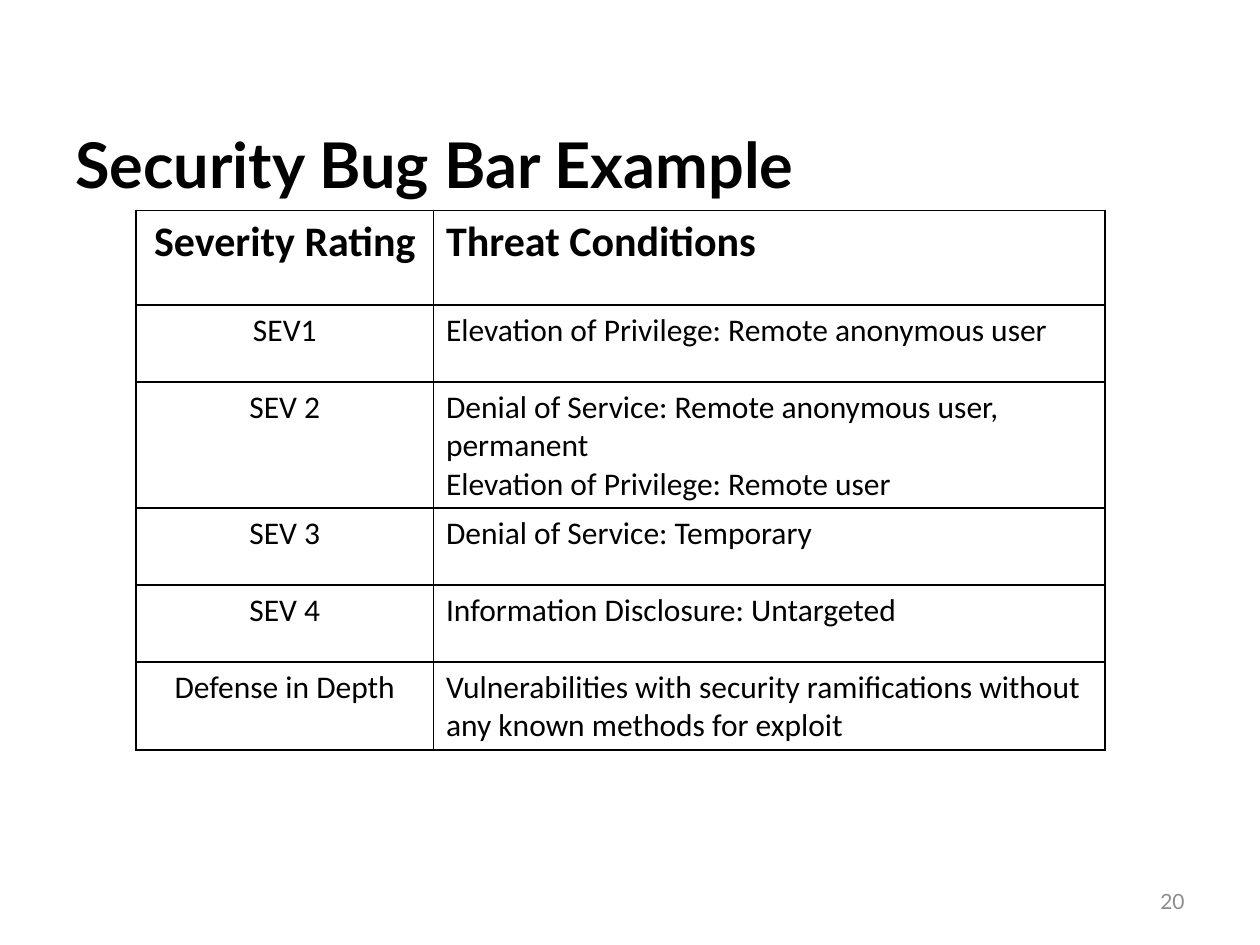
from dataclasses import dataclass

from lxml.etree import SubElement
from pptx import Presentation
from pptx.dml.color import RGBColor
from pptx.enum.text import MSO_ANCHOR, PP_ALIGN as Align
from pptx.oxml.ns import qn
from pptx.util import Pt

# Content
TITLE = "Security Bug Bar Example"
PAGE_NUMBER = "20"
HEADER = ("Severity Rating", ["Threat Conditions"])
RATINGS = [
    ("SEV1", ["Elevation of Privilege: Remote anonymous user"]),
    ("SEV 2", ["Denial of Service: Remote anonymous user, permanent",
               "Elevation of Privilege: Remote user"]),
    ("SEV 3", ["Denial of Service: Temporary"]),
    ("SEV 4", ["Information Disclosure: Untargeted"]),
    ("Defense in Depth", ["Vulnerabilities with security ramifications "
                          "without any known methods for exploit"]),
]


@dataclass(frozen=True)
class Theme:
    ink: str = "000000"
    muted: str = "8C8C8C"
    heading_font: str = "Lato"
    table_font: str = "Calibri"
    title_size: int = 36
    header_size: int = 24
    body_size: int = 18
    number_size: int = 12
    border: int = 1


THEME = Theme()

# Layout in points
TITLE_BOX = (36, 66.2, 648, 54)
NUMBER_BOX = (516, 500.4, 168, 28.8)
TABLE_LEFT, TABLE_TOP = 77.8, 120.2
COLUMN_WIDTHS = (169.9, 383.8)
HEADER_HEIGHT, ROW_HEIGHT = 54, 44


def style(para, font, size, color, bold=False, align=Align.LEFT):
    para.alignment = align
    para.font.name = font
    para.font.size = Pt(size)
    para.font.bold = bold
    para.font.color.rgb = RGBColor.from_string(color)


def add_label(page, frame, text, *look, **options):
    box = page.shapes.add_textbox(*map(Pt, frame)).text_frame
    box.word_wrap = True
    box.vertical_anchor = MSO_ANCHOR.MIDDLE
    box.text = text
    style(box.paragraphs[0], *look, **options)


def add_borders(cell):
    props = cell._tc.get_or_add_tcPr()
    for index, side in enumerate(("lnL", "lnR", "lnT", "lnB")):
        line = SubElement(props, qn(f"a:{side}"), w=str(Pt(THEME.border)))
        fill = SubElement(line, qn("a:solidFill"))
        SubElement(fill, qn("a:srgbClr"), val=THEME.ink)
        props.insert(index, line)


def fill_cell(cell, lines, align, is_header):
    cell.fill.background()
    add_borders(cell)
    cell.text_frame.text = "\n".join(lines)
    size = THEME.header_size if is_header else THEME.body_size
    for para in cell.text_frame.paragraphs:
        style(para, THEME.table_font, size, THEME.ink, is_header, align)


deck = Presentation()
deck.slide_width, deck.slide_height = Pt(720), Pt(540)
page = deck.slides.add_slide(deck.slide_layouts[6])

# Title and page number
add_label(page, TITLE_BOX, TITLE, THEME.heading_font, THEME.title_size,
          THEME.ink, bold=True)
add_label(page, NUMBER_BOX, PAGE_NUMBER, THEME.heading_font,
          THEME.number_size, THEME.muted, align=Align.RIGHT)

# Severity table
rows = [HEADER, *RATINGS]
heights = [HEADER_HEIGHT] + [ROW_HEIGHT] * len(RATINGS)
table = page.shapes.add_table(
    len(rows), len(COLUMN_WIDTHS), Pt(TABLE_LEFT), Pt(TABLE_TOP),
    Pt(sum(COLUMN_WIDTHS)), Pt(sum(heights))).table
table.horz_banding = False
for column, width in zip(table.columns, COLUMN_WIDTHS):
    column.width = Pt(width)
for index, (rating, threats) in enumerate(rows):
    table.rows[index].height = Pt(heights[index])
    fill_cell(table.cell(index, 0), [rating], Align.CENTER, index == 0)
    fill_cell(table.cell(index, 1), threats, Align.LEFT, index == 0)

deck.save("out.pptx")
